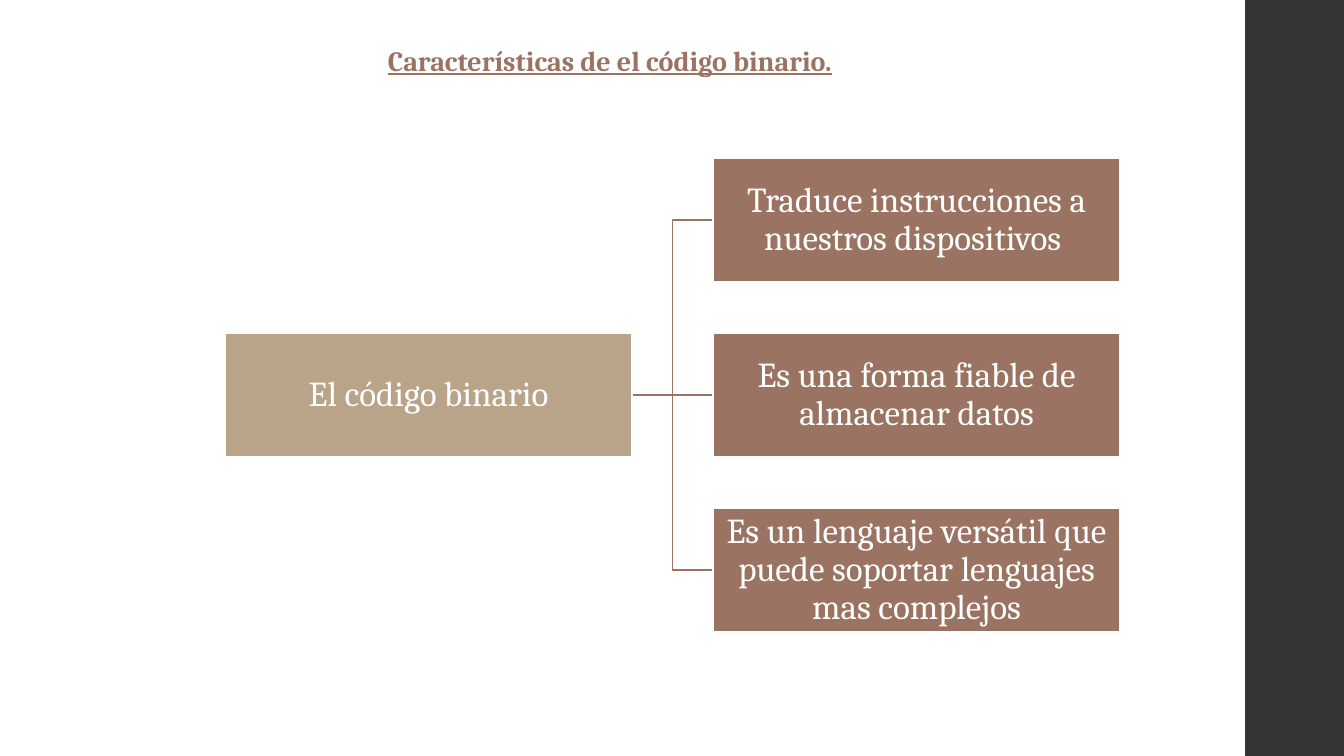
from lxml.etree import SubElement
from pptx import Presentation
from pptx.dml.color import RGBColor
from pptx.enum.shapes import MSO_CONNECTOR as Link, MSO_SHAPE as Shape
from pptx.enum.text import MSO_ANCHOR as Anchor, MSO_AUTO_SIZE as AutoSize, PP_ALIGN as Align
from pptx.oxml.ns import qn
from pptx.util import Inches, Pt

COLORS = {"bar": "353537", "root": "B9A489", "brown": "9B7362", "white": "FFFFFF"}
FONT = "Cambria"
BOX_W, BOX_H = 4.04, 1.23
ROOT_X, LEAF_X = 2.23, 7.07
TOP, STEP = 1.57, 1.735
FEATURES = [
    "Traduce instrucciones a nuestros dispositivos ",
    "Es una forma fiable de almacenar datos",
    "Es un lenguaje versátil que puede soportar lenguajes mas complejos",
]


def color(name):
    return RGBColor.from_string(COLORS[name])


class Deck:
    """Draws styled elements on the current slide."""

    def __init__(self, prs):
        self.s = prs.slides.add_slide(prs.slide_layouts[5])

    def style(self, p, size, name):
        p.alignment = Align.CENTER
        p.font.name, p.font.size = FONT, Pt(size)
        p.font.color.rgb = color(name)

    def title(self, text, x, y, w, h):
        sp = self.s.shapes.title
        sp.left, sp.top, sp.width, sp.height = map(Inches, (x, y, w, h))
        tf = sp.text_frame
        tf.text = text
        tf.word_wrap, tf.auto_size = True, AutoSize.SHAPE_TO_FIT_TEXT
        tf.vertical_anchor = Anchor.TOP
        p = tf.paragraphs[0]
        self.style(p, 20, "brown")
        p.font.bold = p.font.underline = True

    def rect(self, x, y, w, h, fill):
        sp = self.s.shapes.add_shape(Shape.RECTANGLE, *map(Inches, (x, y, w, h)))
        sp.shadow.inherit = False
        sp.fill.solid()
        sp.fill.fore_color.rgb = color(fill)
        sp.line.fill.background()
        return sp

    def box(self, text, x, y, fill):
        sp = self.rect(x, y, BOX_W, BOX_H, fill)
        sp.line.color.rgb = color("white")
        sp.line.width = Pt(1.35)
        tf = sp.text_frame
        tf.text = text
        tf.word_wrap, tf.vertical_anchor = True, Anchor.MIDDLE
        tf.margin_left = tf.margin_right = tf.margin_top = tf.margin_bottom = Inches(0.02)
        p = tf.paragraphs[0]
        p.line_spacing = 0.9
        self.style(p, 25, "white")
        return sp

    def link(self, kind, x1, y1, x2, y2):
        c = self.s.shapes.add_connector(kind, *map(Inches, (x1, y1, x2, y2)))
        c.line.color.rgb = color("brown")
        c.line.width = Pt(1.1)
        SubElement(c._element.spPr, qn("a:effectLst"))
        return c


def main():
    prs = Presentation()
    prs.slide_width, prs.slide_height = Inches(13.33), Inches(7.5)
    deck = Deck(prs)
    deck.rect(12.35, 0, 0.98, 7.5, "bar")
    deck.title("Características de el código binario.", 3.22, 0.38, 5.66, 0.44)

    tops = [TOP + i * STEP for i in range(len(FEATURES))]
    root_y = tops[1]
    links = [
        deck.link(Link.STRAIGHT if y == root_y else Link.ELBOW,
                  ROOT_X + BOX_W, root_y + BOX_H / 2, LEAF_X, y + BOX_H / 2)
        for y in tops
    ]
    root = deck.box("El código binario", ROOT_X, root_y, "root")
    for c, text, y in zip(links, FEATURES, tops):
        leaf = deck.box(text, LEAF_X, y, "brown")
        c.begin_connect(root, 3)
        c.end_connect(leaf, 1)
    prs.save("out.pptx")


if __name__ == "__main__":
    main()
